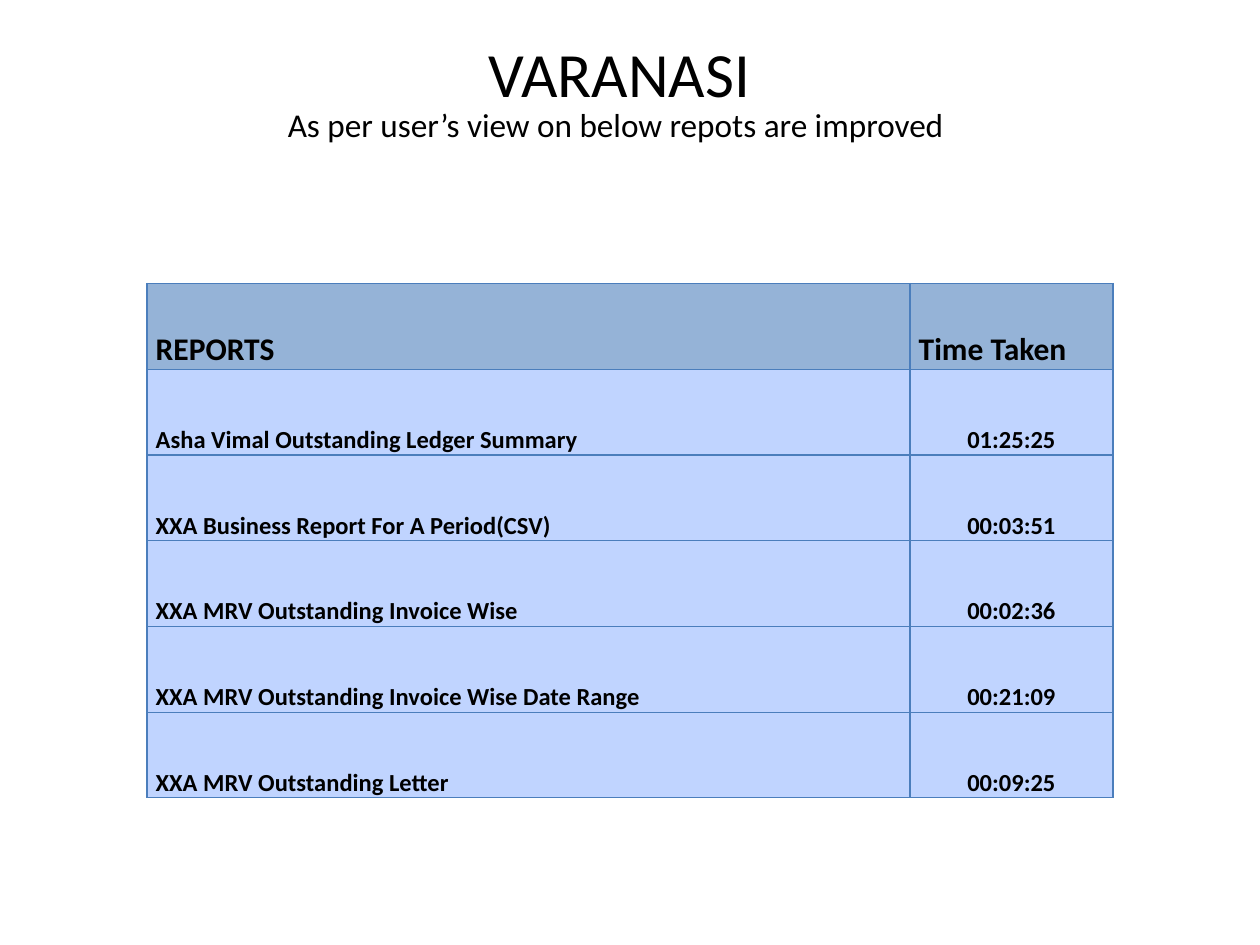
from lxml.etree import SubElement
from pptx import Presentation
from pptx.dml.color import RGBColor
from pptx.enum.text import MSO_ANCHOR, MSO_AUTO_SIZE, PP_ALIGN
from pptx.oxml.ns import qn
from pptx.util import Pt

BLACK = RGBColor(0x00, 0x00, 0x00)
HEADER_FILL = RGBColor(0x95, 0xB3, 0xD7)
BODY_FILL = RGBColor(0xC0, 0xD4, 0xFF)
BORDER = RGBColor(0x4B, 0x7E, 0xBC)
FONT = "Calibri"

TITLE_LINES = [
    ("VARANASI", 36),
    ("As per user’s view on below repots are improved ", 19),
]
REPORTS = [
    ("REPORTS", "Time Taken"),
    ("Asha Vimal Outstanding Ledger Summary", "01:25:25"),
    ("XXA Business Report For A Period(CSV)", "00:03:51"),
    ("XXA MRV Outstanding Invoice Wise", "00:02:36"),
    ("XXA MRV Outstanding Invoice Wise Date Range", "00:21:09"),
    ("XXA MRV Outstanding Letter", "00:09:25"),
]
TIME_WIDTH = 116


def format_text(p, size, bold, align):
    p.alignment = align
    for r in p.runs:
        r.font.name = FONT
        r.font.size = Pt(size)
        r.font.bold = bold
        r.font.color.rgb = BLACK


def add_borders(cell):
    """Outline all four sides; the lines must precede the fill in tcPr."""
    tcPr = cell._tc.get_or_add_tcPr()
    for i, side in enumerate(("a:lnL", "a:lnR", "a:lnT", "a:lnB")):
        ln = SubElement(tcPr, qn(side), w=str(Pt(0.75)))
        fill = SubElement(ln, qn("a:solidFill"))
        SubElement(fill, qn("a:srgbClr"), val=str(BORDER))
        tcPr.insert(i, ln)


def set_title(s, left, top, width, height):
    sp = s.shapes.title
    sp.left, sp.top, sp.width, sp.height = Pt(left), Pt(top), Pt(width), Pt(height)
    tf = sp.text_frame
    tf.text = "\n".join(text for text, _ in TITLE_LINES)
    tf.word_wrap = True
    tf.auto_size = MSO_AUTO_SIZE.NONE
    tf.vertical_anchor = MSO_ANCHOR.TOP
    for p, (_, size) in zip(tf.paragraphs, TITLE_LINES):
        p.line_spacing = 0.85
        format_text(p, size, False, PP_ALIGN.CENTER)


def add_report_table(s, left, top, width, height):
    table = s.shapes.add_table(len(REPORTS), 2, Pt(left), Pt(top),
                               Pt(width), Pt(height)).table
    table.columns[0].width = Pt(width - TIME_WIDTH)
    table.columns[1].width = Pt(TIME_WIDTH)
    for i, row in enumerate(REPORTS):
        header = i == 0
        for j, text in enumerate(row):
            cell = table.cell(i, j)
            cell.text = text
            cell.vertical_anchor = MSO_ANCHOR.BOTTOM
            cell.margin_left = cell.margin_right = Pt(5)
            cell.margin_top = cell.margin_bottom = Pt(0)
            cell.fill.solid()
            cell.fill.fore_color.rgb = HEADER_FILL if header else BODY_FILL
            add_borders(cell)
            centred = j == 1 and not header
            format_text(cell.text_frame.paragraphs[0], 18 if header else 14, True,
                        PP_ALIGN.CENTER if centred else PP_ALIGN.LEFT)


def main():
    prs = Presentation()
    prs.slide_width, prs.slide_height = Pt(720), Pt(540)
    s = prs.slides.add_slide(prs.slide_layouts[5])
    set_title(s, 30, 23, 648, 103)
    add_report_table(s, 84, 162, 552, 294)
    prs.save("out.pptx")


if __name__ == "__main__":
    main()
